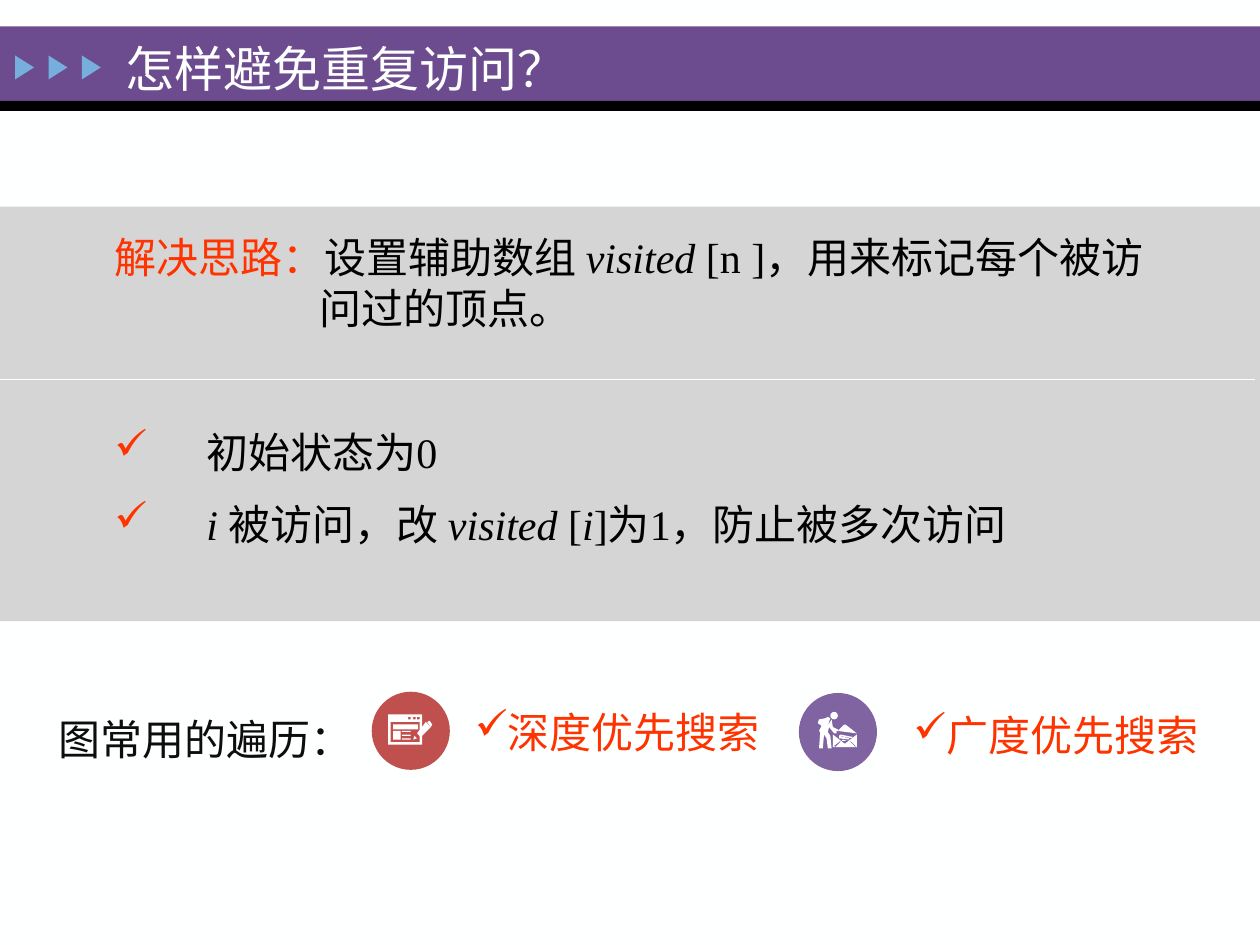
from dataclasses import dataclass
from lxml import etree
from pptx import Presentation, util as u
from pptx.dml.color import RGBColor
from pptx.enum import shapes, text
from pptx.oxml.ns import qn


@dataclass(frozen=True)
class Theme:
    font: str = "Times New Roman"
    title_size: int = 28
    body_size: int = 24
    page: str = "FEFFFF"
    ink: str = "000000"
    soft_ink: str = "0D0D0D"
    accent: str = "FF3300"
    banner: str = "6C4C8F"
    arrow: str = "76AEDD"
    panel: str = "D5D5D5"
    depth: str = "C0504D"
    breadth: str = "8064A2"
    icon: str = "FFFFFF"


theme = Theme()
deck = Presentation()
deck.slide_width, deck.slide_height = u.Inches(10), u.Inches(7.5)
slide = deck.slides.add_slide(deck.slide_layouts[6])
slide.background.fill.solid()
slide.background.fill.fore_color.rgb = RGBColor.from_string(theme.page)

# Grid of 100 columns by 75 rows
col, row = deck.slide_width / 100, deck.slide_height / 75
KIND = shapes.MSO_SHAPE


def block(parent, kind, x, y, w, h, color):
    part = parent.shapes.add_shape(kind, *map(round, (x * col, y * row, w * col, h * row)))
    part.shadow.inherit = False
    part.fill.solid()
    part.fill.fore_color.rgb = RGBColor.from_string(color)
    part.line.fill.background()
    return part


def write(x, y, w, h, paragraphs, size, spacing=None, anchor=text.MSO_ANCHOR.TOP):
    """Each paragraph: (left margin, hanging, space before, bulleted, runs)."""
    frame = slide.shapes.add_textbox(
        *map(round, (x * col, y * row, w * col, h * row))).text_frame
    frame.word_wrap = True
    frame.vertical_anchor = anchor
    for index, (margin, hanging, before, bulleted, runs) in enumerate(paragraphs):
        line = frame.add_paragraph() if index else frame.paragraphs[0]
        props = line._p.get_or_add_pPr()
        props.set("marL", str(round(margin * col)))
        props.set("indent", str(round(-hanging * col)))
        if bulleted:
            tint = etree.SubElement(props, qn("a:buClr"))
            etree.SubElement(tint, qn("a:srgbClr"), val=theme.accent)
            etree.SubElement(props, qn("a:buChar"), char="✓")
        if before:
            line.space_before = u.Pt(before)
        if spacing:
            line.line_spacing = spacing
        for words, color, italic in runs:
            if words == "\n":
                line.add_line_break()
                continue
            run = line.add_run()
            run.text = words
            run.font.name, run.font.size = theme.font, u.Pt(size)
            run.font.italic = italic
            run.font.color.rgb = RGBColor.from_string(color)


# Title banner with three arrows
block(slide, KIND.RECTANGLE, 0, 2.1, 100, 5.9, theme.banner)
block(slide, KIND.RECTANGLE, 0, 8, 100, 0.8, theme.ink)
arrows = slide.shapes.add_group_shape()
for step in range(3):
    block(arrows, KIND.ISOSCELES_TRIANGLE, 1 + step * 2.65, 4.6, 1.9, 1.5,
          theme.arrow).rotation = 90
write(9, 2.5, 37.3, 5.8, [(0, 0, 0, False, [("怎样避免重复访问？", theme.page, False)])],
      theme.title_size, anchor=text.MSO_ANCHOR.MIDDLE)

# Grey panel: the idea, then its two rules
block(slide, KIND.RECTANGLE, 0, 16.4, 100, 32.9, theme.panel)
ink = theme.ink
idea = [("解决思路：", theme.accent, False), ("设置辅助数组 ", ink, False),
        ("visited", ink, True), (" [n ]，用来标记每个被访", ink, False),
        ("\n", ink, False), ("问过的顶点。", ink, False)]
start_rule = [("初始状态为0", ink, False)]
visit_rule = [("i ", ink, True), ("被访问，改 ", ink, False), ("visited", ink, True),
              (" [", ink, False), ("i", ink, True), ("]为1，防止被多次访问", ink, False)]
write(8.1, 17.9, 86.9, 27.3,
      [(16.3, 16.3, 0, False, idea),
       (7.3, 7.3, 53.5, True, start_rule),
       (7.3, 7.3, 12.5, True, visit_rule)], theme.body_size)
divider = slide.shapes.add_connector(
    shapes.MSO_CONNECTOR.STRAIGHT,
    *map(round, (-0.4 * col, 30.1 * row, 99.6 * col, 30.1 * row)))
divider.line.color.rgb = RGBColor.from_string(theme.page)
divider.line.width = u.Pt(0.75)
etree.SubElement(divider._element.spPr, qn("a:effectLst"))

# Badge icons: outlines in tenths of a column; later contours in a list are holes
window = [[(308, 567), (335, 567), (335, 591), (308, 591)],
          [(310, 573), (333, 573), (333, 589), (310, 589)]]
window += [[(x, 569), (x + 2, 569), (x + 2, 571), (x, 571)] for x in (324, 328, 331)]
pencil = [[[(329, 584), (328, 587), (331, 586)]],
          [[(339, 573), (341, 572), (343, 575), (342, 577)]],
          [[(338, 573), (342, 577), (334, 585), (331, 582)]]]
reader = [[(650, 571), (655, 570), (657, 569), (659, 570), (657, 576), (660, 571),
           (661, 577), (665, 579), (665, 580), (670, 575), (671, 575), (680, 582),
           (664, 580), (664, 582), (662, 582), (658, 577), (657, 581), (659, 584),
           (660, 594), (657, 594), (656, 586), (654, 583), (653, 594), (650, 594),
           (651, 581), (650, 580), (652, 576), (649, 574)]]
envelope = [[(661, 583), (670, 590), (671, 590), (680, 583), (680, 593), (661, 593)],
            [(675, 588), (679, 592), (679, 593), (675, 589)],
            [(667, 588), (667, 589), (663, 593), (662, 592)]]
letter = [[[(667, 583), (677, 585), (676, 586), (666, 584)]],
          [[(666, 584), (674, 586), (674, 587), (666, 586)]],
          [[(669, 587), (672, 588), (668, 588)]]]
window_rows = [(31.2, 57.5, 2, 0.4), (31.2, 58, 0.6, 0.7)]
window_rows += [(31.9, 58 + 0.3 * n, 0.7, 0.1) for n in range(3)]
badges = [(29.5, 54.9, theme.depth, [], window_rows, [window, *pencil]),
          (63.4, 55, theme.breadth, [(65.9, 56.5, 0.6, 0.6)], [],
           [reader, envelope, *letter])]
for x, y, color, dots, bars, outlines in badges:
    badge = slide.shapes.add_group_shape()
    block(badge, KIND.OVAL, x, y, 6.2, 6.2, color)
    for dot in dots:
        block(badge, KIND.OVAL, *dot, theme.icon)
    for contours in outlines:
        pen = badge.shapes.build_freeform(*contours[0][0], scale=col / 10)
        for number, contour in enumerate(contours):
            if number:
                pen.move_to(*contour[0])
            pen.add_line_segments(contour[1:], close=True)
        drawn = pen.convert_to_shape()
        drawn.shadow.inherit = False
        drawn.fill.solid()
        drawn.fill.fore_color.rgb = RGBColor.from_string(theme.icon)
        drawn.line.fill.background()
    for bar in bars:
        block(badge, KIND.RECTANGLE, *bar, theme.icon)

# Common traversals
for x, y, w, bulleted, words, color in [
        (3.7, 55.1, 26, False, "图常用的遍历：", theme.soft_ink),
        (36.7, 54.6, 34.6, True, "深度优先搜索", theme.accent),
        (71.5, 54.8, 26.9, True, "广度优先搜索", theme.accent)]:
    write(x, y, w, 5.6, [(0, 0, 0, bulleted, [(words, color, False)])],
          theme.body_size, spacing=1.25)

deck.save("out.pptx")
